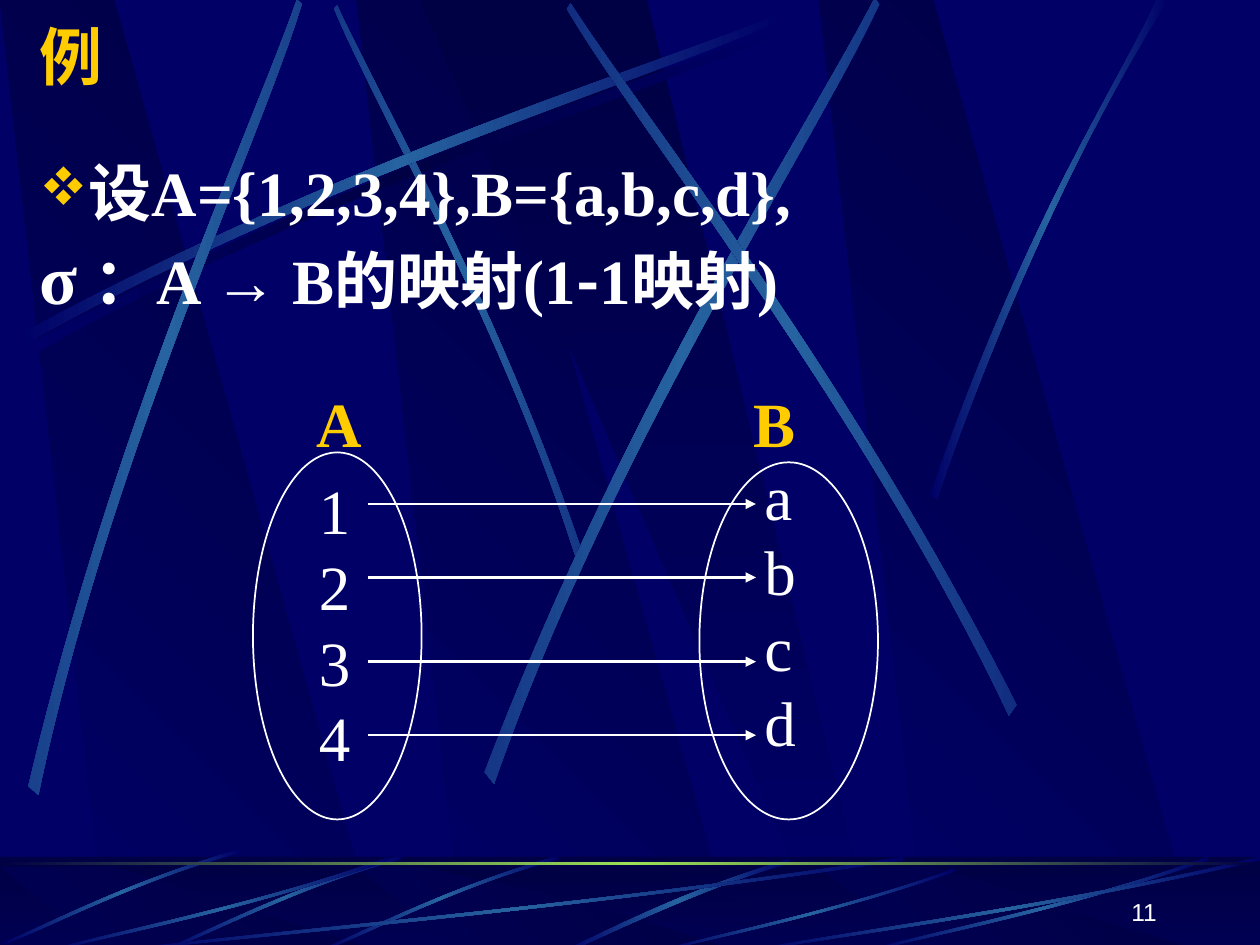
from dataclasses import dataclass

from lxml import etree
from pptx import Presentation
from pptx.dml.color import RGBColor
from pptx.enum.shapes import MSO_CONNECTOR, MSO_SHAPE
from pptx.enum.text import MSO_ANCHOR, MSO_AUTO_SIZE, PP_ALIGN
from pptx.oxml.ns import qn
from pptx.util import Cm, Pt

STRAIGHT = MSO_CONNECTOR.STRAIGHT
RECTANGLE, OVAL = MSO_SHAPE.RECTANGLE, MSO_SHAPE.OVAL
TOP, MIDDLE, BOTTOM = MSO_ANCHOR.TOP, MSO_ANCHOR.MIDDLE, MSO_ANCHOR.BOTTOM
NO_FIT = MSO_AUTO_SIZE.NONE
LEFT, RIGHT, JUSTIFY = PP_ALIGN.LEFT, PP_ALIGN.RIGHT, PP_ALIGN.JUSTIFY


@dataclass(frozen=True)
class Theme:
    navy: str = "000066"
    dark: str = "000044"
    streak: str = "2663A0"
    green: str = "9CE157"
    gold: str = "FFCC00"
    white: str = "FFFFFF"
    serif: str = "Times New Roman"
    sans: str = "Arial"
    asian: str = "Noto Sans CJK SC"
    symbols: str = "Wingdings"
    text_size: int = 36
    sigma_size: int = 40
    number_size: int = 14


# Outlines in fractions of their box: one point is a corner, three are a curve
BAR = [[(0.28, 1)], [(1, 1)], [(0.3, 0)], [(0, 0)]]
BAND = [[(0, 0)], [(0.9, 1)], [(1, 1)], [(0.5, 0)]]
STREAK = [[(0, 0.96)], [(0.43, 0.43), (0.83, 0.16), (1, 0)],
          [(1, 0.02)], [(0.84, 0.19), (0.38, 0.5), (0, 1)]]
SPIKE = [[(0, 0.99)], [(0.4, 0.44), (0.79, 0.17), (0.95, 0)],
         [(1, 0)], [(0.52, 0.36), (0.16, 0.81), (0.03, 1)]]
BLADE = [[(0.99, 0)], [(0.49, 0.37), (0.16, 0.82), (0, 0.99)],
         [(0.03, 1)], [(0.23, 0.77), (0.68, 0.25), (1, 0.04)]]


class SlideBuilder:
    def __init__(self, slide, theme):
        self.slide, self.theme = slide, theme

    def gradient(self, shape, colors, angle):
        """Fill with evenly spaced stops that stay level when the shape turns."""
        shape.shadow.inherit = False
        shape.line.fill.background()
        shape.fill.gradient()
        fill = shape._element.spPr.find(qn("a:gradFill"))
        fill.set("rotWithShape", "0")
        stops = fill.find(qn("a:gsLst"))
        for stop in list(stops):
            stops.remove(stop)
        for index, color in enumerate(colors):
            position = str(round(100000 * index / (len(colors) - 1)))
            stop = etree.SubElement(stops, qn("a:gs"), pos=position)
            etree.SubElement(stop, qn("a:srgbClr"), val=color)
        fill.find(qn("a:lin")).set("ang", str(angle * 60000))

    def outline(self, outline, box, colors, angle=0, rotation=0, flip_x=False, flip_y=False):
        left, top, width, height = box
        parts = [[(Cm(left + width * (1 - x if flip_x else x)),
                   Cm(top + height * (1 - y if flip_y else y))) for x, y in part]
                 for part in outline]
        corners = [part[-1] for part in parts]
        builder = self.slide.shapes.build_freeform(*corners[0])
        builder.add_line_segments(corners[1:], close=True)
        shape = builder.convert_to_shape()
        self.bend(shape, parts[1:])
        shape.rotation = rotation
        self.gradient(shape, colors, angle)

    def bend(self, shape, parts):
        """Turn the segments that have control points into curves."""
        segments = list(shape._element.iter(qn("a:lnTo")))
        for segment, part in zip(segments, parts):
            if len(part) == 3:
                curve = etree.Element(qn("a:cubicBezTo"))
                for x, y in part:
                    etree.SubElement(curve, qn("a:pt"), x=str(x - shape.left),
                                     y=str(y - shape.top))
                segment.getparent().replace(segment, curve)

    def streak(self, outline, box, rotation=0, flip_x=False, flip_y=False, middle=None):
        colors = (self.theme.navy, middle or self.theme.streak, self.theme.navy)
        self.outline(outline, box, colors, 0, rotation, flip_x, flip_y)

    def rectangle(self, box, colors, angle=0):
        shape = self.slide.shapes.add_shape(RECTANGLE, *map(Cm, box))
        self.gradient(shape, colors, angle)

    def veil(self, box, color, opacity):
        shape = self.slide.shapes.add_shape(RECTANGLE, *map(Cm, box))
        shape.shadow.inherit = False
        shape.line.fill.background()
        shape.fill.solid()
        shape.fill.fore_color.rgb = RGBColor.from_string(color)
        color_element = shape._element.spPr.find(qn("a:solidFill"))[0]
        etree.SubElement(color_element, qn("a:alpha"), val=str(opacity * 1000))

    def oval(self, box):
        shape = self.slide.shapes.add_shape(OVAL, *map(Cm, box))
        shape.shadow.inherit = False
        shape.fill.background()
        shape.line.color.rgb = RGBColor.from_string(self.theme.white)
        shape.line.width = Pt(1)

    def arrow(self, start, end, y):
        connector = self.slide.shapes.add_connector(STRAIGHT, Cm(start), Cm(y), Cm(end), Cm(y))
        connector.line.color.rgb = RGBColor.from_string(self.theme.white)
        connector.line.width = Pt(1.5)
        properties = connector._element.spPr
        etree.SubElement(properties.find(qn("a:ln")), qn("a:tailEnd"), type="triangle")
        etree.SubElement(properties, qn("a:effectLst"))

    def text(self, box, lines, color, bold=False, size=None, font=None,
             align=LEFT, anchor=TOP, wrap=True):
        frame = self.slide.shapes.add_textbox(*map(Cm, box)).text_frame
        frame.text = "\n".join(lines)
        frame.word_wrap, frame.auto_size, frame.vertical_anchor = wrap, NO_FIT, anchor
        for paragraph in frame.paragraphs:
            paragraph.alignment = align
            for run in paragraph.runs:
                self.style(run, color, bold, size, font)
        return frame

    def style(self, run, color, bold=False, size=None, font=None):
        run.font.name = font or self.theme.serif
        run.font.size = Pt(size or self.theme.text_size)
        run.font.bold = bold
        run.font.color.rgb = RGBColor.from_string(color)
        etree.SubElement(run.font._element, qn("a:ea"), typeface=self.theme.asian)

    def bullet(self, paragraph, symbol, indent):
        properties = paragraph._p.get_or_add_pPr()
        properties.set("marL", str(Cm(indent)))
        properties.set("indent", str(-Cm(indent)))
        color = etree.SubElement(properties, qn("a:buClr"))
        etree.SubElement(color, qn("a:srgbClr"), val=self.theme.gold)
        etree.SubElement(properties, qn("a:buSzPct"), val="85000")
        etree.SubElement(properties, qn("a:buFont"), typeface=self.theme.symbols, charset="2")
        etree.SubElement(properties, qn("a:buChar"), char=symbol)


def draw_bars(builder, top, height):
    theme = builder.theme
    for left in (7.19, 0, 16.51):
        builder.outline(BAR, (left, top, 7.67, height), (theme.navy, theme.dark), 315)
    builder.outline(BAND, (8.46, top, 9.17, height), (theme.dark, theme.navy), 90)


def draw_background(builder):
    theme = builder.theme
    # Upper field
    draw_bars(builder, 0, 19.1)
    builder.streak(STREAK, (0.51, 0.46, 15.44, 6.78), middle=theme.dark)
    builder.streak(STREAK, (3.58, 3.43, 11.23, 4.45), 45, flip_x=True)
    builder.streak(STREAK, (0.36, 0.25, 15.44, 6.78))
    builder.streak(STREAK, (-4.34, 4.62, 15.44, 6.78), 311.7)
    builder.streak(STREAK, (5.87, 4.06, 15.85, 7.65), 321.6)
    builder.streak(STREAK, (8.2, 3.86, 15.44, 6.78), 34.7, flip_x=True)
    builder.streak(SPIKE, (18.75, 0, 4.8, 10.08))
    # Footer band
    band = (0, 17.27, 25.4, 1.9)
    builder.rectangle(band, (theme.dark, theme.navy), 90)
    draw_bars(builder, 17.48, 1.69)
    builder.veil(band, theme.dark, 50)
    builder.streak(BLADE, (11.38, 17.32, 4.57, 1.85))
    for left, top in ((6.55, 17.17), (3.38, 17.17), (0.13, 17.04)):
        builder.streak(STREAK, (left, top, 4.67, 2.11), 315, flip_x=True)
    for left, top, width in ((2.54, 17.27, 15.67), (1.07, 17.27, 6.78), (13.39, 17.5, 5.87),
                             (17.58, 17.27, 6.78), (15.24, 17.27, 10.16)):
        builder.streak(STREAK, (left, top, width, 19.17 - top), flip_x=True, flip_y=True)
    builder.rectangle((0, 17.37, 25.4, 0.06), (theme.dark, theme.green, theme.dark))


def draw_statement(builder):
    theme = builder.theme
    frame = builder.text((0.55, 3.15, 24.56, 3.81), ["设A={1,2,3,4},B={a,b,c,d},", "σ"],
                         theme.white, bold=True, align=JUSTIFY)
    first, second = frame.paragraphs
    first.line_spacing = second.line_spacing = 0.9
    second.space_before = Pt(8)
    builder.bullet(first, "v", 0.95)
    second.runs[0].font.size = Pt(theme.sigma_size)
    for words, font in ((" ：A → B的映射(1", theme.serif), ("-", theme.asian),
                        ("1映射)", theme.serif)):
        run = second.add_run()
        run.text = words
        builder.style(run, theme.white, bold=True, font=font)


def draw_mapping(builder):
    theme = builder.theme
    for names, left, top in (("1234", 6.18, 9.39), ("abcd", 15.16, 9.09)):
        builder.text((left, top, 1.14, 6.35), names, theme.white, wrap=False)
    for name, left in (("A", 6.13), ("B", 14.94)):
        builder.text((left, 7.62, 1.4, 1.78), [name], theme.gold, bold=True, wrap=False)
    for y in (10.16, 11.64, 13.34, 14.82):
        builder.arrow(7.41, 15.24, y)
    builder.oval((5.1, 9.12, 3.4, 7.4))
    builder.oval((14.1, 9.32, 3.6, 7.2))


def main():
    presentation = Presentation()
    presentation.slide_width, presentation.slide_height = Cm(25.4), Cm(19.05)
    slide = presentation.slides.add_slide(presentation.slide_layouts[6])
    theme = Theme()
    slide.background.fill.solid()
    slide.background.fill.fore_color.rgb = RGBColor.from_string(theme.navy)
    builder = SlideBuilder(slide, theme)
    draw_background(builder)
    draw_statement(builder)
    draw_mapping(builder)
    # Slide number and title
    builder.text((18.29, 17.53, 5.28, 1.27), ["11"], theme.white, size=theme.number_size,
                 font=theme.sans, align=RIGHT, anchor=BOTTOM)
    builder.text((0.55, 0.22, 24.49, 1.8), ["例"], theme.gold, bold=True, anchor=MIDDLE)
    presentation.save("out.pptx")


if __name__ == "__main__":
    main()
